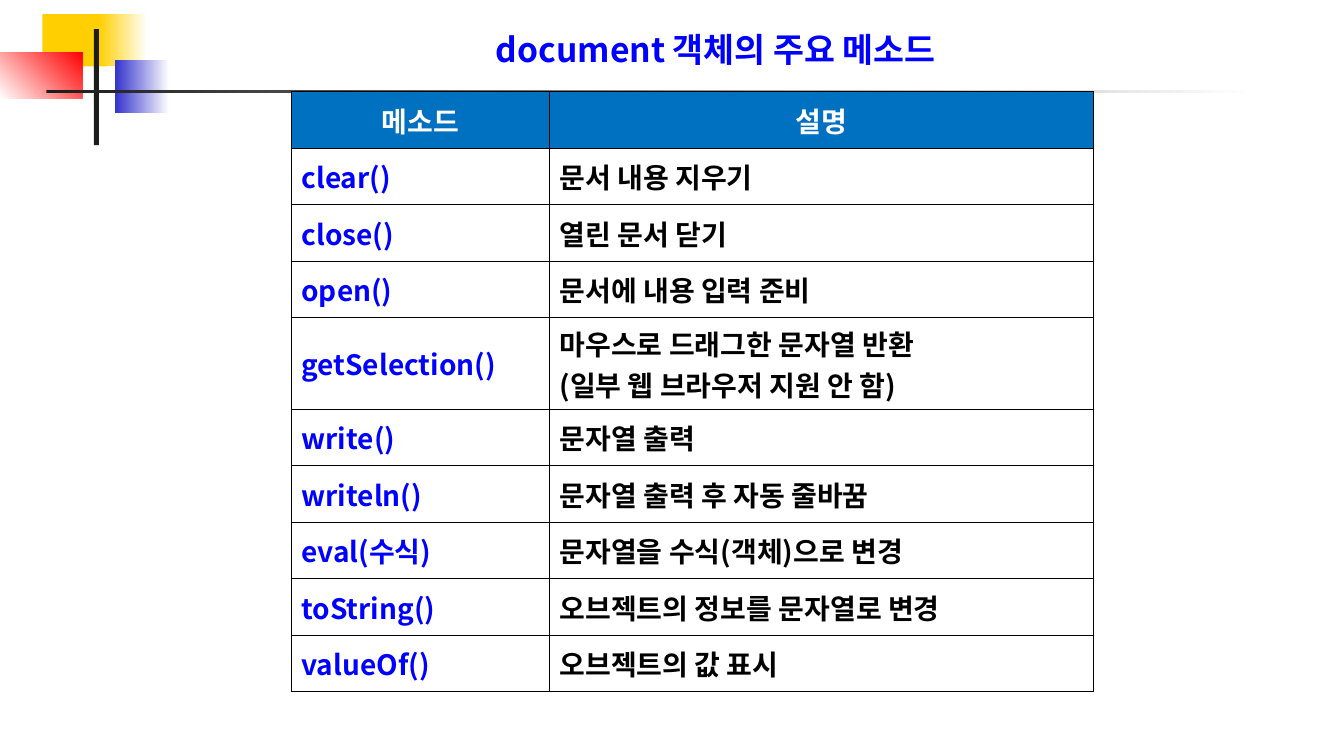
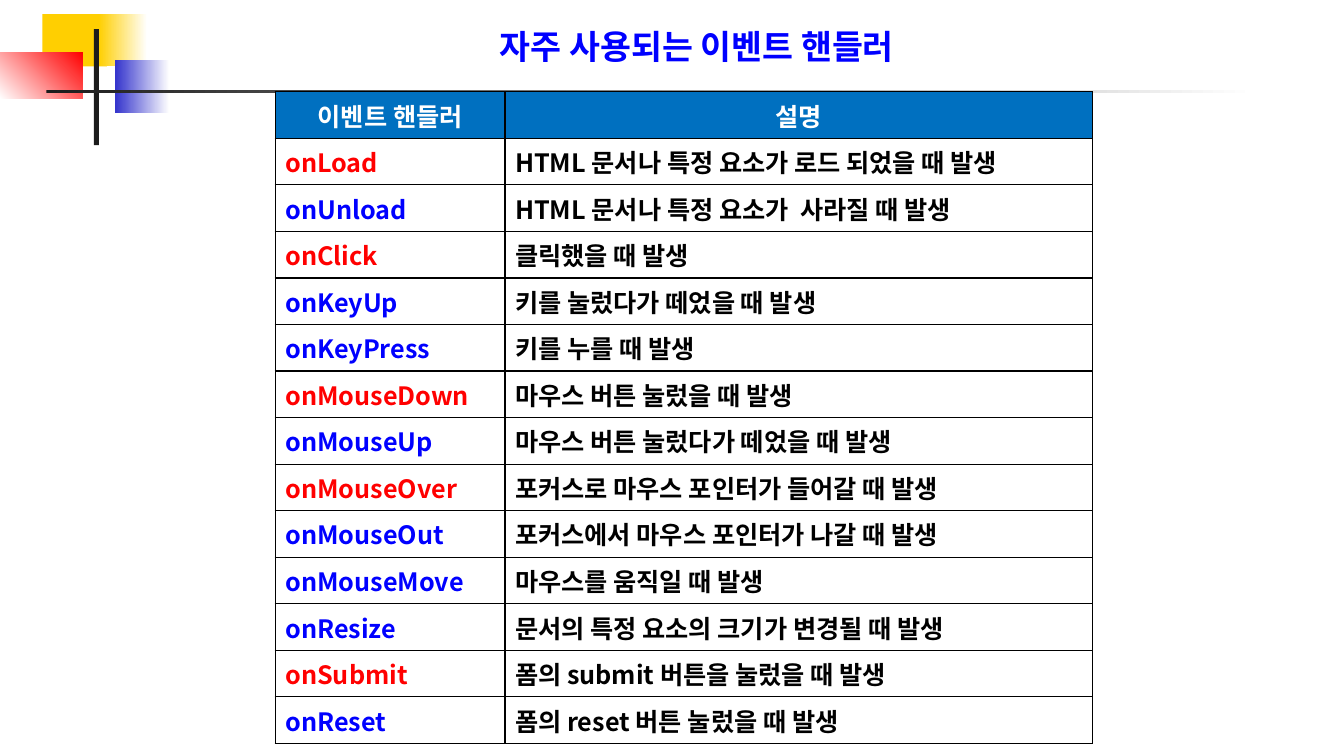
from dataclasses import dataclass
from typing import NamedTuple

from lxml.etree import SubElement
from pptx import Presentation
from pptx.dml.color import RGBColor
from pptx.enum.shapes import MSO_SHAPE
from pptx.enum.text import MSO_ANCHOR, PP_ALIGN
from pptx.oxml.ns import qn
from pptx.util import Inches, Pt

FONT = "Noto Sans CJK KR"
BLUE, RED, BLACK, WHITE = "0000FF", "FF0000", "000000", "FFFFFF"
YELLOW, INDIGO, DARK, HEADER = "FFCF01", "3333CC", "1C1C1C", "0070C0"
WIDTH, HEIGHT = Inches(13.33), Inches(7.5)
TABLE_TOP = 12.13


# Every length is a percentage of the slide's width or height
class Box(NamedTuple):
    left: float
    top: float
    width: float
    height: float


@dataclass
class Block:
    box: Box
    start: str
    end: str | None = None  # second colour of a gradient
    angle: float = 0


@dataclass
class Row:
    name: str
    description: str
    color: str = BLUE


@dataclass
class TableSlide:
    title: str
    title_box: Box
    left: float
    columns: tuple[float, float]
    row_height: float
    extra_line: float
    size: int
    header: Row
    rows: list[Row]


# Decoration shared by all slides
DECORATION = [
    Block(Box(3.15, 1.87, 4.8, 6.93), YELLOW),
    Block(Box(7.35, 1.87, 3.6, 6.93), YELLOW, WHITE),
    Block(Box(8.55, 8, 4.05, 6.93), INDIGO, WHITE),
    Block(Box(0, 6.93, 6.15, 6.13), WHITE, RED, 45),
    Block(Box(6.98, 3.87, 0.38, 15.33), DARK),
    Block(Box(3.45, 11.87, 90, 0.4), DARK, WHITE),
]

SLIDES = [
    TableSlide(
        "document 객체의 주요 메소드", Box(36.16, 3.2, 36.53, 6.8),
        left=21.68, columns=(19.2, 40.5), row_height=7.48, extra_line=4.6, size=20,
        header=Row("메소드", "설명", WHITE),
        rows=[
            Row("clear()", "문서 내용 지우기"),
            Row("close()", "열린 문서 닫기"),
            Row("open()", "문서에 내용 입력 준비"),
            Row("getSelection()", "마우스로 드래그한 문자열 반환\n(일부 웹 브라우저 지원 안 함)"),
            Row("write()", "문자열 출력"),
            Row("writeln()", "문자열 출력 후 자동 줄바꿈"),
            Row("eval(수식)", "문자열을 수식(객체)으로 변경"),
            Row("toString()", "오브젝트의 정보를 문자열로 변경"),
            Row("valueOf()", "오브젝트의 값 표시"),
        ],
    ),
    TableSlide(
        "자주 사용되는 이벤트 핸들러", Box(36.46, 2.8, 34.36, 6.8),
        left=20.48, columns=(17.1, 43.73), row_height=6.16, extra_line=4.1, size=18,
        header=Row("이벤트 핸들러", "설명", WHITE),
        rows=[
            Row("onLoad", "HTML 문서나 특정 요소가 로드 되었을 때 발생", RED),
            Row("onUnload", "HTML 문서나 특정 요소가  사라질 때 발생"),
            Row("onClick", "클릭했을 때 발생", RED),
            Row("onKeyUp", "키를 눌렀다가 떼었을 때 발생"),
            Row("onKeyPress", "키를 누를 때 발생"),
            Row("onMouseDown", "마우스 버튼 눌렀을 때 발생", RED),
            Row("onMouseUp", "마우스 버튼 눌렀다가 떼었을 때 발생"),
            Row("onMouseOver", "포커스로 마우스 포인터가 들어갈 때 발생", RED),
            Row("onMouseOut", "포커스에서 마우스 포인터가 나갈 때 발생"),
            Row("onMouseMove", "마우스를 움직일 때 발생"),
            Row("onResize", "문서의 특정 요소의 크기가 변경될 때 발생"),
            Row("onSubmit", "폼의 submit 버튼을 눌렀을 때 발생", RED),
            Row("onReset", "폼의 reset 버튼 눌렀을 때 발생"),
        ],
    ),
]


def across(share: float) -> int:
    return round(WIDTH * share / 100)


def down(share: float) -> int:
    return round(HEIGHT * share / 100)


def place(box: Box) -> tuple[int, int, int, int]:
    return across(box.left), down(box.top), across(box.width), down(box.height)


def rgb(color: str) -> RGBColor:
    return RGBColor.from_string(color)


def write(tf, text: str, *, size: int, color: str, align=PP_ALIGN.LEFT) -> None:
    """Write one bold paragraph for each line of text."""
    tf.word_wrap = True
    for i, line in enumerate(text.split("\n")):
        p = tf.add_paragraph() if i else tf.paragraphs[0]
        p.alignment = align
        r = p.add_run()
        r.text = line
        r.font.name, r.font.size, r.font.bold = FONT, Pt(size), True
        r.font.color.rgb = rgb(color)
        SubElement(r.font._element, qn("a:ea"), typeface=FONT)


def add_block(slide, block: Block) -> None:
    sp = slide.shapes.add_shape(MSO_SHAPE.RECTANGLE, *place(block.box))
    sp.shadow.inherit = False
    sp.line.fill.background()
    if block.end is None:
        sp.fill.solid()
        sp.fill.fore_color.rgb = rgb(block.start)
        return
    sp.fill.gradient()
    sp.fill.gradient_angle = block.angle
    for stop, color in zip(sp.fill.gradient_stops, (block.start, block.end)):
        stop.color.rgb = rgb(color)


def add_borders(cell) -> None:
    tc_pr = cell._tc.get_or_add_tcPr()
    for side in ("lnL", "lnR", "lnT", "lnB"):
        ln = SubElement(tc_pr, qn(f"a:{side}"), w=str(Pt(1)))
        fill = SubElement(ln, qn("a:solidFill"))
        SubElement(fill, qn("a:srgbClr"), val=BLACK)


def add_table(slide, spec_: TableSlide) -> None:
    rows = [spec_.header, *spec_.rows]
    heights = [spec_.row_height + spec_.extra_line * row.description.count("\n") for row in rows]
    box = Box(spec_.left, TABLE_TOP, sum(spec_.columns), sum(heights))
    table = slide.shapes.add_table(len(rows), len(spec_.columns), *place(box)).table
    table.first_row = table.horz_banding = False
    for column, width in zip(table.columns, spec_.columns):
        column.width = across(width)
    for i, (row, height) in enumerate(zip(rows, heights)):
        table.rows[i].height = down(height)
        is_header = i == 0
        texts = ((row.name, row.color), (row.description, WHITE if is_header else BLACK))
        for j, (text, color) in enumerate(texts):
            cell = table.cell(i, j)
            cell.vertical_anchor = MSO_ANCHOR.MIDDLE
            add_borders(cell)
            if is_header:
                cell.fill.solid()
                cell.fill.fore_color.rgb = rgb(HEADER)
            else:
                cell.fill.background()
            write(cell.text_frame, text, size=spec_.size, color=color,
                  align=PP_ALIGN.CENTER if is_header else PP_ALIGN.LEFT)


def main() -> None:
    prs = Presentation()
    prs.slide_width, prs.slide_height = WIDTH, HEIGHT
    for content in SLIDES:
        slide = prs.slides.add_slide(prs.slide_layouts[6])
        for block in DECORATION:
            add_block(slide, block)
        add_table(slide, content)
        title = slide.shapes.add_textbox(*place(content.title_box))
        write(title.text_frame, content.title, size=24, color=BLUE)
    prs.save("out.pptx")


if __name__ == "__main__":
    main()
